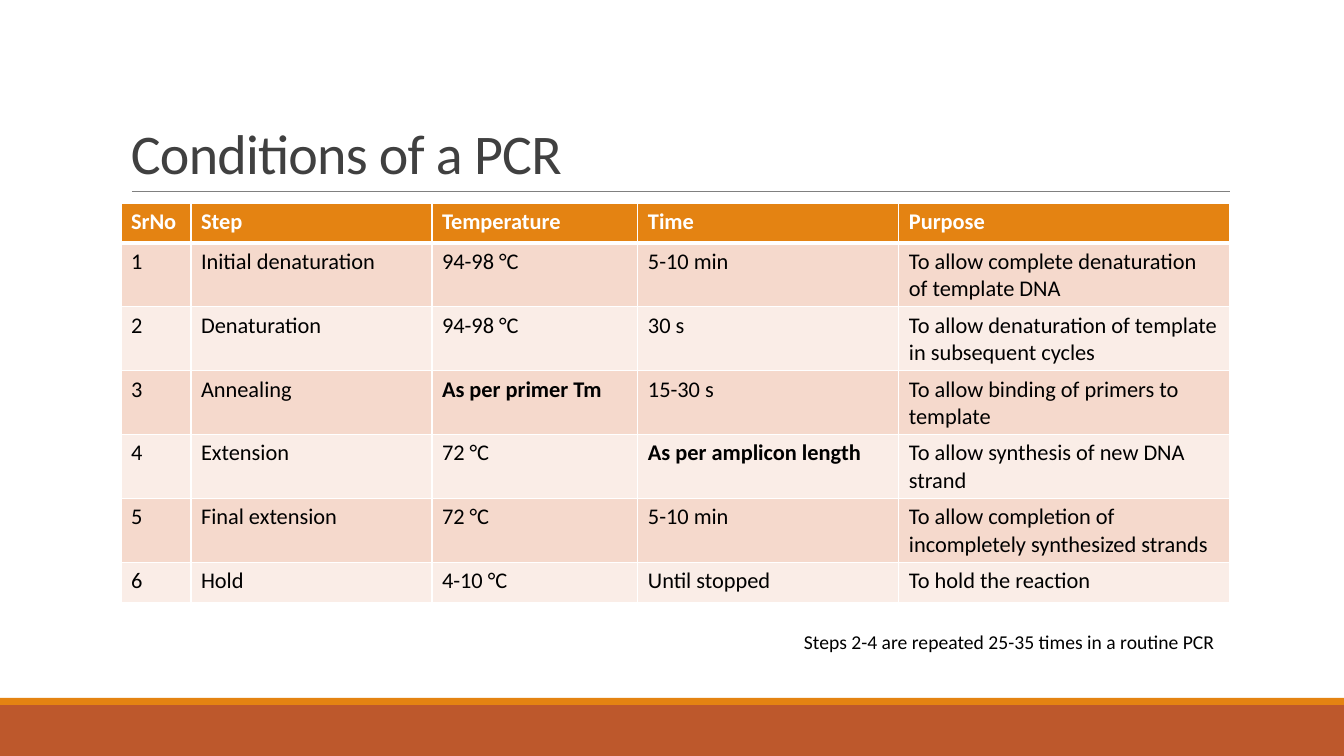
from lxml import etree
from pptx import Presentation
from pptx import util as u
from pptx.dml import color
from pptx.enum import shapes, text
from pptx.oxml import ns

PX = 914400 / 100.8
WIDTH, HEIGHT = 1344, 756
FONT = "Calibri"
WHITE, BLACK, ORANGE = "FFFFFF", "000000", "E48312"
BANDS = ["F5D9CC", "FAEDE7"]
COLS = [70, 241, 206, 261, 331]
ROW = 40
ROWS = [
    ["SrNo", "Step", "Temperature", "Time", "Purpose"],
    ["1", "Initial denaturation", "94-98 °C", "5-10 min",
     "To allow complete denaturation of template DNA"],
    ["2", "Denaturation", "94-98 °C", "30 s",
     "To allow denaturation of template in subsequent cycles"],
    ["3", "Annealing", "As per primer Tm", "15-30 s",
     "To allow binding of primers to template"],
    ["4", "Extension", "72 °C", "As per amplicon length",
     "To allow synthesis of new DNA strand"],
    ["5", "Final extension", "72 °C", "5-10 min",
     "To allow completion of incompletely synthesized strands"],
    ["6", "Hold", "4-10 °C", "Until stopped", "To hold the reaction"],
]


def px(*nums):
    return [u.Emu(round(n * PX)) for n in nums]


def rgb(code):
    return color.RGBColor.from_string(code)


def style(frame, size, code, bold=False):
    for para in frame.paragraphs:
        for run in para.runs:
            font = run.font
            font.name, font.size, font.bold = FONT, u.Pt(size), bold
            font.color.rgb = rgb(code)


def add_bar(slide, box, code):
    bar = slide.shapes.add_shape(shapes.MSO_SHAPE.RECTANGLE, *px(*box))
    bar.shadow.inherit = False
    bar.fill.solid()
    bar.fill.fore_color.rgb = rgb(code)
    bar.line.fill.background()


def add_foot(slide, left, top, width, height):
    strip = 7
    add_bar(slide, (left, top + strip, width, height - strip), "BD582C")
    add_bar(slide, (left, top, width, strip), ORANGE)


def add_title(slide, left, top, width, height):
    # Rule under the title
    base = top + height
    rule = slide.shapes.add_connector(
        shapes.MSO_CONNECTOR.STRAIGHT,
        *px(left + 11, base, left + width, base))
    rule.line.color.rgb = rgb("808080")
    rule.line.width = u.Pt(0.5)
    etree.SubElement(rule._element.spPr, ns.qn("a:effectLst"))
    # Heading text
    frame = slide.shapes.add_textbox(*px(left, top, width, height)).text_frame
    frame.word_wrap = True
    frame.vertical_anchor = text.MSO_ANCHOR.BOTTOM
    frame.text = "Conditions of a PCR"
    para = frame.paragraphs[0]
    para.line_spacing = 0.85
    style(frame, 40, "404040")
    para.runs[0].font._element.set("spc", "-50")


def add_edges(cell, base):
    props = cell._tc.get_or_add_tcPr()
    for side, width in zip("LRTB", (1, 1, 1, base)):
        edge = etree.SubElement(props, ns.qn("a:ln" + side), w=str(u.Pt(width)))
        fill = etree.SubElement(edge, ns.qn("a:solidFill"))
        etree.SubElement(fill, ns.qn("a:srgbClr"), val=WHITE)


def add_grid(slide, left, top):
    size = px(left, top, sum(COLS), ROW * len(ROWS))
    grid = slide.shapes.add_table(len(ROWS), len(COLS), *size).table
    grid.first_row = grid.horz_banding = False
    for col, width in zip(grid.columns, px(*COLS)):
        col.width = width
    for r, words in enumerate(ROWS):
        head = r == 0
        grid.rows[r].height = px(ROW)[0]
        for c, word in enumerate(words):
            cell = grid.cell(r, c)
            add_edges(cell, 3 if head else 1)
            if r == 1:  # shares the thick edge of the header
                cell._tc.tcPr.find(ns.qn("a:lnT")).set("w", str(u.Pt(3)))
            cell.fill.solid()
            cell.fill.fore_color.rgb = rgb(ORANGE if head else BANDS[(r - 1) % 2])
            cell.text_frame.text = word
            style(cell.text_frame, 16, WHITE if head else BLACK,
                  head or word.startswith("As per"))


def add_note(slide, left, top, width, height):
    frame = slide.shapes.add_textbox(*px(left, top, width, height)).text_frame
    frame.word_wrap = False
    frame.auto_size = text.MSO_AUTO_SIZE.SHAPE_TO_FIT_TEXT
    frame.text = "Steps 2-4 are repeated 25-35 times in a routine PCR"
    style(frame, 14, BLACK)


def main():
    deck = Presentation()
    deck.slide_width, deck.slide_height = px(WIDTH, HEIGHT)
    slide = deck.slides.add_slide(deck.slide_layouts[6])
    add_foot(slide, 0, 698, WIDTH, HEIGHT - 698)
    add_title(slide, 121, 31, 1109, 160)
    add_grid(slide, 121, 203)
    add_note(slide, 794, 625, 436, 34)
    deck.save("out.pptx")


if __name__ == "__main__":
    main()
